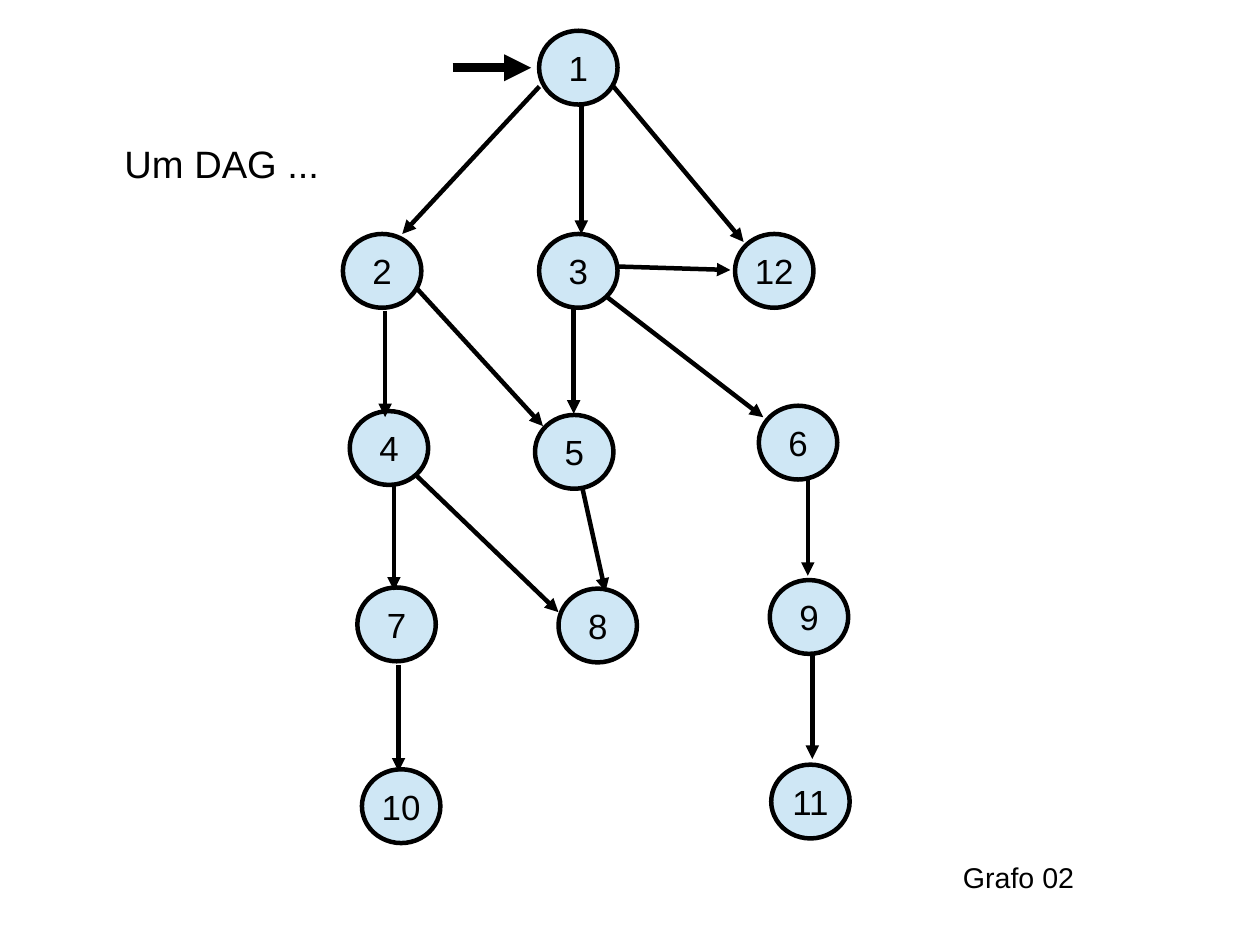
from lxml.etree import SubElement
from pptx import Presentation
from pptx.dml.color import RGBColor
from pptx.enum.shapes import MSO_CONNECTOR, MSO_SHAPE
from pptx.enum.text import MSO_ANCHOR, MSO_AUTO_SIZE, PP_ALIGN
from pptx.oxml.ns import qn
from pptx.util import Pt

COLORS = {"ink": "000000", "node": "CFE7F5"}
NODE_WIDTH, NODE_HEIGHT = 49.4, 46.5
EDGE_WEIGHT, ENTRY_WEIGHT = 2.83, 5.67

NODES = {
    "1": (339.6, 19.4),
    "2": (216, 147.4),
    "3": (339.6, 147.4),
    "12": (463, 147.4),
    "4": (220.3, 259),
    "5": (337, 261.4),
    "6": (478, 255.6),
    "7": (225.1, 370.1),
    "8": (351.8, 370.8),
    "9": (484.9, 365.4),
    "10": (228, 484.6),
    "11": (485.8, 481.7),
}

EDGES = {
    ("1", "2"): (339.8, 54.5, 253.4, 147.4),
    ("1", "3"): (366.2, 66.2, 366.2, 147.4),
    ("1", "12"): (386.4, 54.5, 468.4, 152.4),
    ("3", "12"): (389.5, 167.9, 460.1, 170.1),
    ("2", "4"): (242.6, 195.8, 242.6, 262.8),
    ("2", "5"): (262.8, 182, 342, 268.4),
    ("3", "5"): (361.4, 193.7, 361.4, 260.6),
    ("3", "6"): (382.2, 187, 480.8, 262.8),
    ("4", "7"): (248.2, 305.3, 248.2, 372),
    ("4", "8"): (262, 299.3, 351.8, 385.6),
    ("5", "8"): (367, 308, 381.4, 372.8),
    ("6", "9"): (508.9, 302.4, 508.9, 362.7),
    ("7", "10"): (251.1, 419, 251.1, 486),
    ("9", "11"): (511.7, 411.8, 511.7, 478.1),
}
ENTRY_ARROW = (285.1, 42.7, 334.6, 42.7)


def color(name):
    return RGBColor.from_string(COLORS[name])


def set_attributes(target, values):
    for name, value in values.items():
        setattr(target, name, value)


def write_text(shape, text, size, align, frame_format):
    frame = shape.text_frame
    set_attributes(frame, {"word_wrap": False, **frame_format})
    para = frame.paragraphs[0]
    para.alignment = align
    span = para.add_run()
    span.text = text
    set_attributes(span.font, {"name": "Arial", "size": Pt(size)})
    span.font.color.rgb = color("ink")


def set_line(line, weight):
    line.color.rgb = color("ink")
    line.width = Pt(weight)


def add_node(page, label, left, top):
    node = page.shapes.add_shape(
        MSO_SHAPE.OVAL, Pt(left), Pt(top), Pt(NODE_WIDTH), Pt(NODE_HEIGHT))
    node.shadow.inherit = False
    node.fill.solid()
    node.fill.fore_color.rgb = color("node")
    set_line(node.line, EDGE_WEIGHT)
    write_text(node, label, 22, PP_ALIGN.CENTER, {
        "vertical_anchor": MSO_ANCHOR.MIDDLE,
        "margin_left": Pt(8.6),
        "margin_right": Pt(8.6),
        "margin_top": Pt(5),
        "margin_bottom": Pt(5),
    })


def add_arrow(page, ends, weight):
    arrow = page.shapes.add_connector(
        MSO_CONNECTOR.STRAIGHT, *[Pt(value) for value in ends])
    set_line(arrow.line, weight)
    properties = arrow.element.spPr
    SubElement(properties.find(qn("a:ln")), qn("a:tailEnd"), type="triangle")
    SubElement(properties, qn("a:effectLst"))


def add_caption(page, text, size, left, top, width, height):
    box = page.shapes.add_textbox(Pt(left), Pt(top), Pt(width), Pt(height))
    write_text(box, text, size, PP_ALIGN.LEFT,
               {"auto_size": MSO_AUTO_SIZE.SHAPE_TO_FIT_TEXT})


def main():
    deck = Presentation()
    set_attributes(deck, {"slide_width": Pt(793.7), "slide_height": Pt(595.28)})
    page = deck.slides.add_slide(deck.slide_layouts[6])
    for label, (left, top) in NODES.items():
        add_node(page, label, left, top)
    for ends in EDGES.values():
        add_arrow(page, ends, EDGE_WEIGHT)
    add_arrow(page, ENTRY_ARROW, ENTRY_WEIGHT)
    add_caption(page, "Um DAG ...", 24, 71.3, 85, 140, 33.8)
    add_caption(page, "Grafo 02", 18, 599.5, 538.3, 84.6, 27.4)
    deck.save("out.pptx")


if __name__ == "__main__":
    main()
